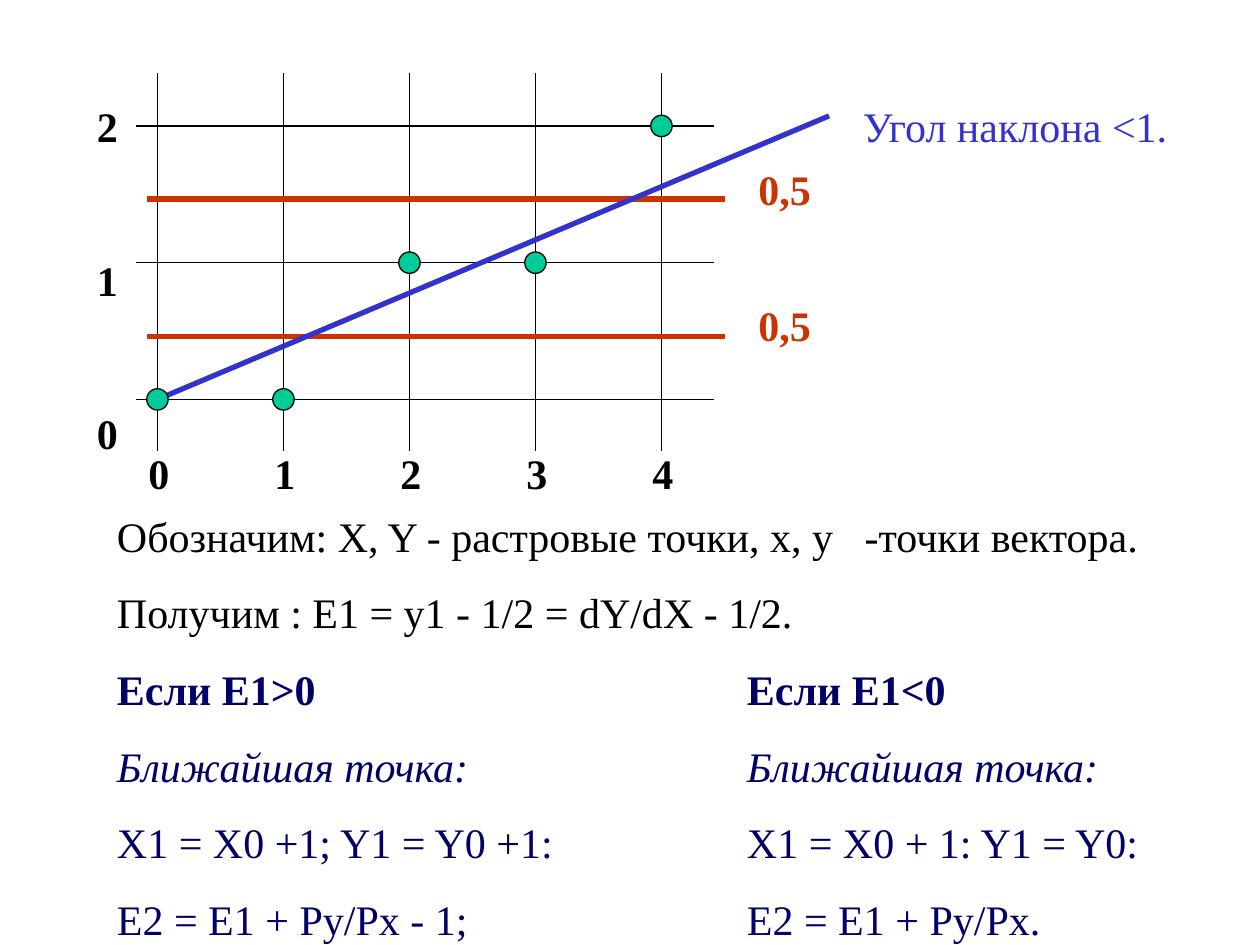
"""Build a slide explaining line rasterisation on a grid with its error rule."""
from lxml.etree import SubElement
from pptx import Presentation
from pptx.dml.color import RGBColor
from pptx.enum.shapes import MSO_CONNECTOR, MSO_SHAPE
from pptx.oxml.ns import qn
from pptx.util import Inches, Pt

BLACK = RGBColor(0x00, 0x00, 0x00)
RED = RGBColor(0xCC, 0x33, 0x00)
BLUE = RGBColor(0x33, 0x33, 0xCC)
NAVY = RGBColor(0x00, 0x00, 0x66)
GREEN = RGBColor(0x00, 0xCC, 0x99)

COLUMNS = range(5)
ROWS = range(3)
RASTER_POINTS = [(0, 0), (1, 0), (2, 1), (3, 1), (4, 2)]
THRESHOLDS = [(1.58, 1.25), (2.67, 2.33)]
EXPLANATION = [
    ("Обозначим: X, Y - растровые точки, x, y   -точки вектора.", BLACK, False, False),
    ("Получим : E1 = y1 - 1/2 = dY/dX - 1/2.", BLACK, False, False),
    ("Если Е1>0\tЕсли Е1<0", NAVY, True, False),
    ("Ближайшая точка:\tБлижайшая точка:", NAVY, False, True),
    ("X1 = X0 +1; Y1 = Y0 +1:\tX1 = X0 + 1: Y1 = Y0:", NAVY, False, False),
    ("E2 = E1 + Py/Px - 1;\tE2 = E1 + Py/Px.", NAVY, False, False),
]
ORIGIN_X, ORIGIN_Y = 1.25, 3.17
STEP_X, STEP_Y = 1, 1.085
DOT = 0.17


def grid_x(column):
    return ORIGIN_X + column * STEP_X


def grid_y(row):
    return ORIGIN_Y - row * STEP_Y


def add_line(slide, start, end, color=BLACK, width=0.75):
    line = slide.shapes.add_connector(
        MSO_CONNECTOR.STRAIGHT, *(Inches(value) for value in (*start, *end)))
    line.line.color.rgb = color
    line.line.width = Pt(width)
    SubElement(line._element.spPr, qn("a:effectLst"))


def add_text(slide, box, paragraphs, spacing=15, tabs=()):
    shape = slide.shapes.add_textbox(*(Inches(value) for value in box))
    text_frame = shape.text_frame
    text_frame.word_wrap = True
    for index, (text, color, bold, italic) in enumerate(paragraphs):
        paragraph = text_frame.add_paragraph() if index else text_frame.paragraphs[0]
        paragraph.text = text
        if index:
            paragraph.space_before = Pt(spacing)
        if tabs:
            tab_list = SubElement(paragraph._p.get_or_add_pPr(), qn("a:tabLst"))
            for position in tabs:
                SubElement(tab_list, qn("a:tab"), pos=str(Inches(position)), algn="l")
        for run in paragraph.runs:
            run.font.name = "Times New Roman"
            run.font.size = Pt(24)
            run.font.bold = bold
            run.font.italic = italic
            run.font.color.rgb = color


def add_dot(slide, column, row):
    dot = slide.shapes.add_shape(
        MSO_SHAPE.OVAL, Inches(grid_x(column) - DOT / 2),
        Inches(grid_y(row) - DOT / 2), Inches(DOT), Inches(DOT))
    dot.shadow.inherit = False
    dot.fill.solid()
    dot.fill.fore_color.rgb = GREEN
    dot.line.color.rgb = BLACK
    dot.line.width = Pt(0.75)


def main():
    presentation = Presentation()
    presentation.slide_width = Inches(10)
    presentation.slide_height = Inches(7.5)
    slide = presentation.slides.add_slide(presentation.slide_layouts[6])

    for row in reversed(ROWS):
        add_line(slide, (1.08, grid_y(row)), (5.67, grid_y(row)))
    for column in COLUMNS:
        add_line(slide, (grid_x(column), 0.58), (grid_x(column), 3.58))

    column_labels = "".join(f"\t{column}" for column in COLUMNS)
    add_text(slide, (0.92, 3.5, 4.75, 0.5), [(column_labels, BLACK, True, False)],
             tabs=[0.16 + column * STEP_X for column in COLUMNS])
    add_text(slide, (0.67, 0.75, 0.42, 2.94),
             [(str(row), BLACK, True, False) for row in reversed(ROWS)], spacing=59)

    for line_y, label_y in THRESHOLDS:
        add_line(slide, (1.17, line_y), (5.75, line_y), RED, 3)
        add_text(slide, (5.92, label_y, 0.67, 0.5), [("0,5", RED, True, False)])

    add_line(slide, (ORIGIN_X, ORIGIN_Y), (6.58, 0.92), BLUE, 3)
    for column, row in RASTER_POINTS:
        add_dot(slide, column, row)

    add_text(slide, (6.75, 0.75, 2.83, 0.5), [("Угол наклона <1.", BLUE, False, False)])
    add_text(slide, (0.83, 4, 8.67, 3.54), EXPLANATION, tabs=[5])
    presentation.save("out.pptx")


if __name__ == "__main__":
    main()
